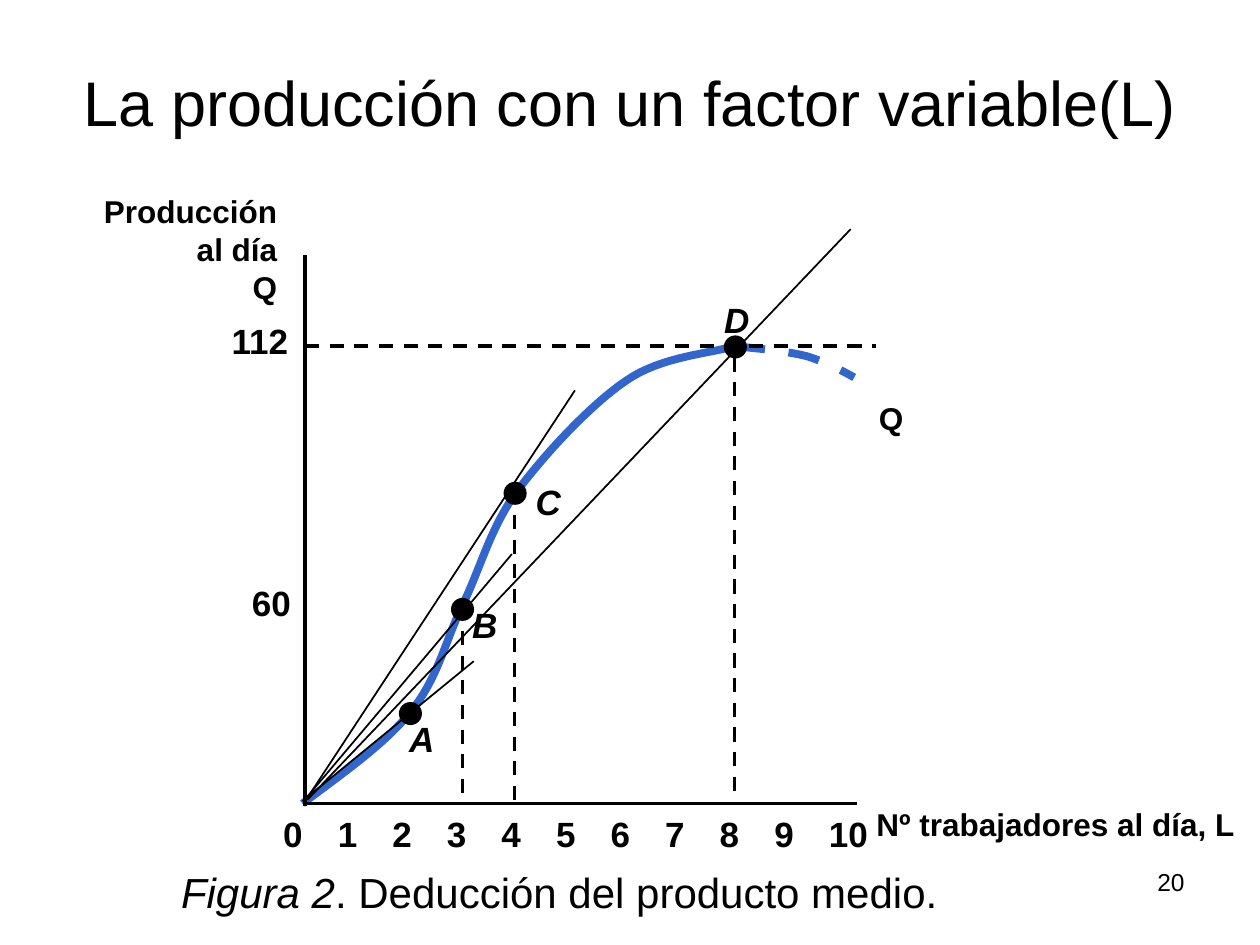
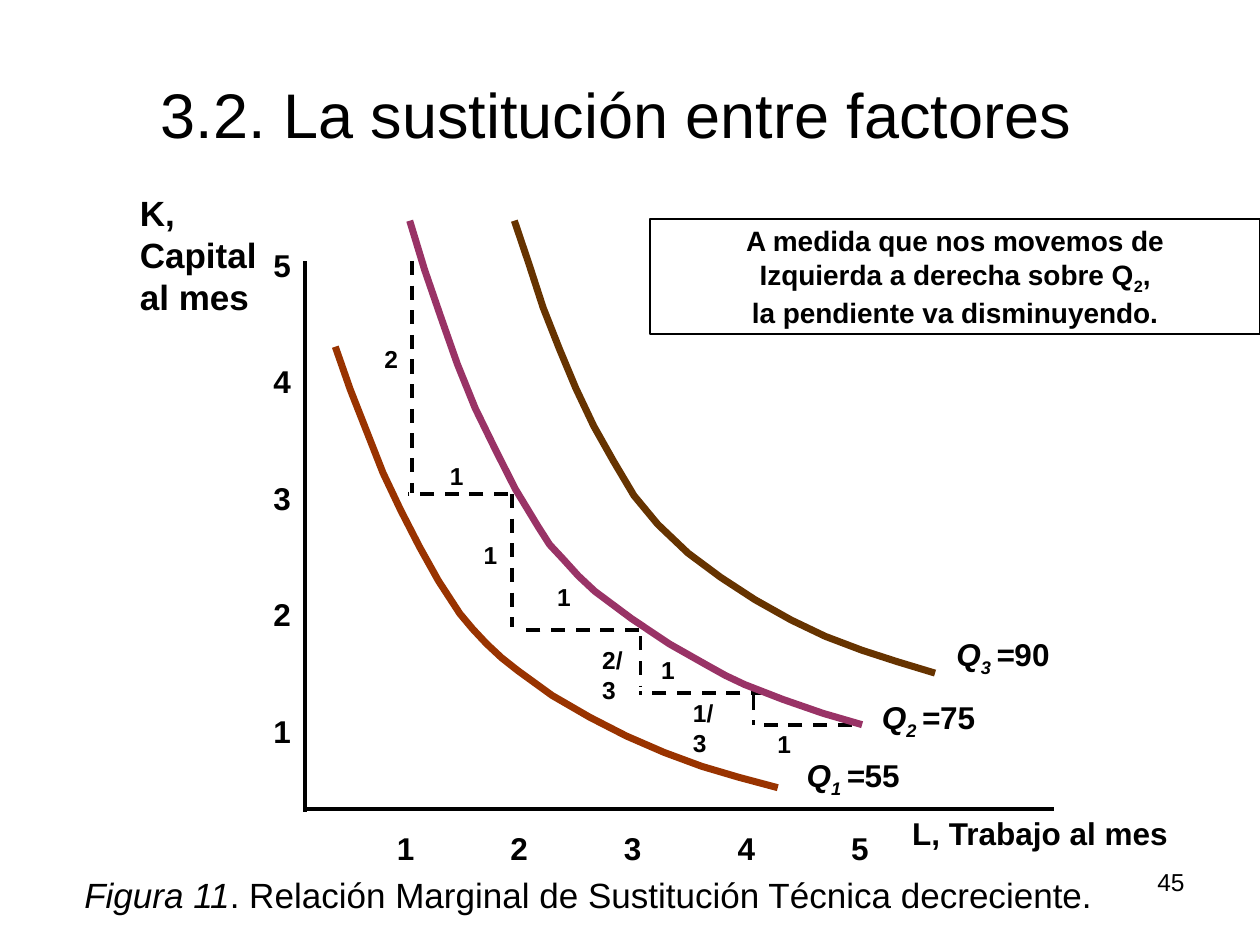
from lxml import etree
from pptx import Presentation
from pptx.dml.color import RGBColor
from pptx.enum.dml import MSO_LINE
from pptx.enum.shapes import MSO_CONNECTOR, MSO_SHAPE
from pptx.enum.text import MSO_ANCHOR, MSO_AUTO_SIZE, PP_ALIGN
from pptx.oxml.ns import qn
from pptx.util import Cm, Pt

BLACK = RGBColor(0x00, 0x00, 0x00)
BLUE = RGBColor(0x33, 0x66, 0xCC)
RUST = RGBColor(0x99, 0x33, 0x00)
PLUM = RGBColor(0x99, 0x33, 0x66)
BROWN = RGBColor(0x66, 0x33, 0x00)

DASH = MSO_LINE.DASH
STRAIGHT = MSO_CONNECTOR.STRAIGHT
OVAL, RECT = MSO_SHAPE.OVAL, MSO_SHAPE.RECTANGLE
LEFT, CENTER, RIGHT = PP_ALIGN.LEFT, PP_ALIGN.CENTER, PP_ALIGN.RIGHT
BOTTOM = MSO_ANCHOR.BOTTOM
GROW = MSO_AUTO_SIZE.SHAPE_TO_FIT_TEXT

FONT = "Arial"
BOLD = {"bold": True}
SLANT = {"italic": True}
BOTH = {"bold": True, "italic": True}
PAGE_BOX = (18.21, 17.35, 5.92, 1.32)

# Slide 1: points in cm right of and above the origin of the axes
RISE = [(-0.05, 0), (0.76, 0.61), (1.6, 1.19), (2.13, 1.85),
        (2.67, 2.51), (2.82, 3.25), (3.17, 3.99),
        (3.53, 4.72), (3.71, 5.49), (4.24, 6.25),
        (4.8, 7.01), (5.74, 8.03), (6.48, 8.53),
        (7.19, 9.02), (8.18, 9.07), (8.64, 9.22)]
FALL = [(8.64, 9.22), (9.17, 9.17), (9.7, 9.12), (10.11, 9.02),
        (10.52, 8.89), (10.8, 8.74), (11.07, 8.59)]
RAYS = [((-0.05, 0.05), (3.4, 2.87)), ((-0.03, 0.05), (4.17, 5.03)),
        ((-0.03, 0), (5.44, 8.33)), ((0.05, 0.08), (11, 11.58))]
DROPS = [(3.17, 3.48), (4.22, 5.82), (8.66, 8.99)]
# Name, centre of the dot, shift of its label
DOTS = [("A", 2.12, 1.82, -0.27, 0.04), ("B", 3.17, 3.92, -0.05, 0.24),
        ("C", 4.23, 6.26, 0.17, 0.37), ("D", 8.67, 9.21, -0.47, 1.1)]

# Slide 2: index, value, colour, label place and points of each isoquant
CURVES = [
    ("1 ", "55", RUST, (9.86, 1.19),
     [(0.61, 9.32), (0.91, 8.46), (1.24, 7.62), (1.57, 6.78), (1.93, 6.02),
      (2.31, 5.28), (2.69, 4.6), (3.12, 3.94), (3.38, 3.63), (3.66, 3.33),
      (3.96, 3.05), (4.29, 2.79), (4.98, 2.29), (5.74, 1.85), (6.48, 1.47),
      (7.24, 1.14), (8, 0.86), (8.74, 0.64), (9.53, 0.43)]),
    ("3 ", "90", BROWN, (12.88, 3.63),
     [(4.22, 11.86), (4.52, 10.97), (4.8, 10.11), (5.13, 9.27), (5.46, 8.48),
      (5.82, 7.72), (6.22, 7.01), (6.63, 6.32), (7.11, 5.74), (7.72, 5.16),
      (8.38, 4.67), (9.07, 4.22), (9.8, 3.81), (10.49, 3.48), (11.23, 3.2),
      (11.94, 2.97), (12.7, 2.74)]),
    ("2 ", "75", PLUM, (11.38, 2.36),
     [(2.11, 11.86), (2.41, 10.87), (2.74, 9.91), (3.07, 8.97), (3.43, 8.08),
      (3.84, 7.24), (4.24, 6.45), (4.7, 5.69), (4.93, 5.33), (5.21, 5.03),
      (5.51, 4.7), (5.84, 4.39), (6.58, 3.84), (7.34, 3.33), (8.1, 2.9),
      (8.48, 2.69), (8.86, 2.51), (9.63, 2.21), (10.44, 1.93), (11.23, 1.7)]),
]
STEPS = [((11.02, 1.7), (9.17, 1.7)), ((4.09, 6.35), (2.08, 6.35)),
         ((6.73, 3.61), (4.37, 3.61)), ((9.27, 2.34), (6.73, 2.34)),
         ((2.16, 11.05), (2.16, 6.38)), ((4.17, 6.35), (4.17, 3.68)),
         ((6.76, 3.48), (6.76, 2.46)), ((9.04, 2.29), (9.04, 1.7))]
GAPS = [("1", 2.67, 7.14), ("1", 4.83, 4.7), ("1", 6.93, 3.23),
        ("1", 9.27, 1.73), ("2", 1.35, 9.5), ("1", 3.35, 5.54)]
PARTS = [("2/3", 5.74, 3.43), ("1/3", 7.57, 2.36)]


def fill_text(frame, paras, size, align):
    """Write paragraphs, each a list of (text, format) runs."""
    for num, runs in enumerate(paras):
        para = frame.paragraphs[0] if num == 0 else frame.add_paragraph()
        para.alignment = align
        for text, form in runs:
            run = para.add_run()
            run.text = text
            look = {"name": FONT, "size": Pt(size), **form}
            base = look.pop("base", None)
            for key, value in look.items():
                setattr(run.font, key, value)
            run.font.color.rgb = BLACK
            if base:
                run._r.get_or_add_rPr().set("baseline", str(base))


def add_text(slide, box, paras, size, align=LEFT, **form):
    """Text box; form holds settings of its text frame."""
    frame = slide.shapes.add_textbox(*map(Cm, box)).text_frame
    for key, value in {"word_wrap": True, **form}.items():
        setattr(frame, key, value)
    fill_text(frame, paras, size, align)


def add_tag(slide, box, text, size, form=BOLD, wrap=False, align=LEFT):
    """Label of one or more lines in one format."""
    paras = [[(line, form)] for line in text.split("\n")]
    add_text(slide, box, paras, size, align, word_wrap=wrap, auto_size=GROW)


def set_line(line, color, width, dash=None):
    line.color.rgb = color
    for key, value in {"width": Pt(width), "dash_style": dash}.items():
        setattr(line, key, value)


def spot(zero, point):
    """Place on the slide of a point measured from the origin zero."""
    return zero[0] + point[0], zero[1] - point[1]


def add_line(slide, zero, start, end, width=2, dash=None):
    ends = [Cm(v) for point in (start, end) for v in spot(zero, point)]
    link = slide.shapes.add_connector(STRAIGHT, *ends)
    set_line(link.line, BLACK, width, dash)
    etree.SubElement(link._element.spPr, qn("a:effectLst"))


def add_curve(slide, zero, points, color, width, dash=None):
    first, *rest = [tuple(map(Cm, spot(zero, p))) for p in points]
    path = slide.shapes.build_freeform(*first)
    path.add_line_segments(rest, close=False)
    shape = path.convert_to_shape()
    shape.shadow.inherit = False
    shape.fill.background()
    set_line(shape.line, color, width, dash)


def smooth(knots, count=16):
    """Points along a chain of cubic Bezier arcs."""
    points = [knots[0]]
    for i in range(0, len(knots) - 1, 3):
        for n in range(1, count + 1):
            t = n / count
            mix = ((1 - t) ** 3, 3 * t * (1 - t) ** 2,
                   3 * t * t * (1 - t), t ** 3)
            points.append(tuple(sum(m * knot[axis] for m, knot
                                    in zip(mix, knots[i:i + 4]))
                                for axis in (0, 1)))
    return points


def add_axes(slide, zero, wide, high):
    add_line(slide, zero, (0, -0.05), (0, high))
    add_line(slide, zero, (0, 0), (wide, 0))


def add_frame(slide, title, box, page, figure, note, foot, size):
    """Title, caption and page number."""
    add_text(slide, box, [[(title, {})]], 36, CENTER, vertical_anchor=BOTTOM)
    add_text(slide, foot, [[(figure, SLANT), (note, {})]], size)
    add_text(slide, PAGE_BOX, [[(page, {})]], 14, RIGHT)


def draw_output(slide, zero):
    """Total product curve with its rays from the origin."""
    left, base = zero
    add_curve(slide, zero, smooth(FALL), BLUE, 4.5, DASH)
    add_curve(slide, zero, smooth(RISE), BLUE, 4.5)
    # Guides and axes
    add_line(slide, zero, (0, 9.22), (11.51, 9.22), dash=DASH)
    for x, top in DROPS:
        add_line(slide, zero, (x, top), (x, 0.08), dash=DASH)
    add_axes(slide, zero, 11.13, 11.05)
    # Axis labels
    add_tag(slide, (left + 11.32, base - 8.28, 0.99, 1.02), "Q", 18)
    add_tag(slide, (left + 11.27, base - 0.1, 7.72, 1.02),
            "Nº trabajadores al día, L", 18)
    add_tag(slide, (left - 4.35, base - 12.45, 4.04, 2.57),
            "Producción\nal día\nQ", 18, align=RIGHT)
    add_tag(slide, (left - 1.32, base - 4.6, 1.3, 1.09), "60", 20)
    add_tag(slide, (left - 1.73, base - 9.88, 1.68, 1.09), "112", 20)
    for n in range(11):
        wide = 0.89 if n < 10 else 1.3
        add_tag(slide, (left - 0.69 + 1.1 * n, base + 0.06, wide, 1.09),
                str(n), 20)
    # Marked points
    for name, x, y, across, up in DOTS:
        mid, level = spot(zero, (x, y))
        dot = slide.shapes.add_shape(
            OVAL, *map(Cm, (mid - 0.21, level - 0.21, 0.43, 0.43)))
        dot.shadow.inherit = False
        dot.fill.solid()
        dot.fill.fore_color.rgb = BLACK
        set_line(dot.line, BLACK, 1)
        add_tag(slide, (mid + across, level - up, 1.02, 1.09), name, 20, BOTH)
    for start, end in RAYS:
        add_line(slide, zero, start, end, 1)


def draw_map(slide, zero):
    """Isoquant map with the steps along the middle curve."""
    left, base = zero
    add_axes(slide, zero, 15.09, 11.05)
    for n in range(5):
        add_tag(slide, (left - 0.89, base - 2.08 - 2.35 * n, 0.86, 1.02),
                str(n + 1), 18)
        add_tag(slide, (left + 1.6 + 2.29 * n, base + 0.28, 0.86, 1.02),
                str(n + 1), 18)
    add_tag(slide, (left + 11.99, base - 0.03, 5.69, 1.02),
            "L, Trabajo al mes", 18)
    add_tag(slide, (left - 3.58, base - 12.57, 3.7, 2.7),
            "K, Capital\nal mes", 20, wrap=True)
    # Steps and their lengths
    for start, end in STEPS:
        add_line(slide, zero, start, end, dash=DASH)
    for text, x, y in GAPS:
        add_tag(slide, (*spot(zero, (x, y)), 0.79, 0.84), text, 14)
    for text, x, y in PARTS:
        add_tag(slide, (*spot(zero, (x, y)), 1.1, 1.4), text, 14, wrap=True)
    # Isoquants
    for index, value, color, place, points in CURVES:
        add_curve(slide, zero, points, color, 4)
        runs = [("Q", BOTH), (index, {**BOTH, "base": -25000}),
                ("=", BOTH), (value, BOLD)]
        add_text(slide, (*spot(zero, place), 2.41, 1.02), [runs], 18,
                 word_wrap=False, auto_size=GROW)


def draw_note(slide, box):
    """Framed remark."""
    note = slide.shapes.add_shape(RECT, *map(Cm, box))
    note.shadow.inherit = False
    note.fill.background()
    set_line(note.line, BLACK, 1)
    note.text_frame.word_wrap = True
    paras = [[("A medida que nos movemos de", BOLD)],
             [("Izquierda a derecha sobre Q", BOLD),
              ("2", {**BOLD, "base": -25000}), (",", BOLD)],
             [("la pendiente va disminuyendo.", BOLD)]]
    fill_text(note.text_frame, paras, 16, CENTER)


def main():
    deck = Presentation()
    deck.slide_width, deck.slide_height = Cm(25.4), Cm(19.05)
    blank = deck.slide_layouts[6]

    slide = deck.slides.add_slide(blank)
    draw_output(slide, (6.15, 16.2))
    add_frame(slide, "La producción con un factor variable(L)",
              (0, 0.76, 25.4, 2.16), "20", "Figura 2",
              ". Deducción del producto medio.", (3.4, 17.35, 17.58, 1.32), 24)

    slide = deck.slides.add_slide(blank)
    draw_map(slide, (6.15, 16.31))
    draw_note(slide, (13.11, 4.42, 12.29, 2.31))
    add_frame(slide, "3.2. La sustitución entre factores",
              (0.99, 0, 22.86, 3.17), "45", "Figura 11",
              ". Relación Marginal de Sustitución Técnica decreciente.",
              (1.45, 17.48, 21.01, 1.12), 20)

    deck.save("out.pptx")


if __name__ == "__main__":
    main()
